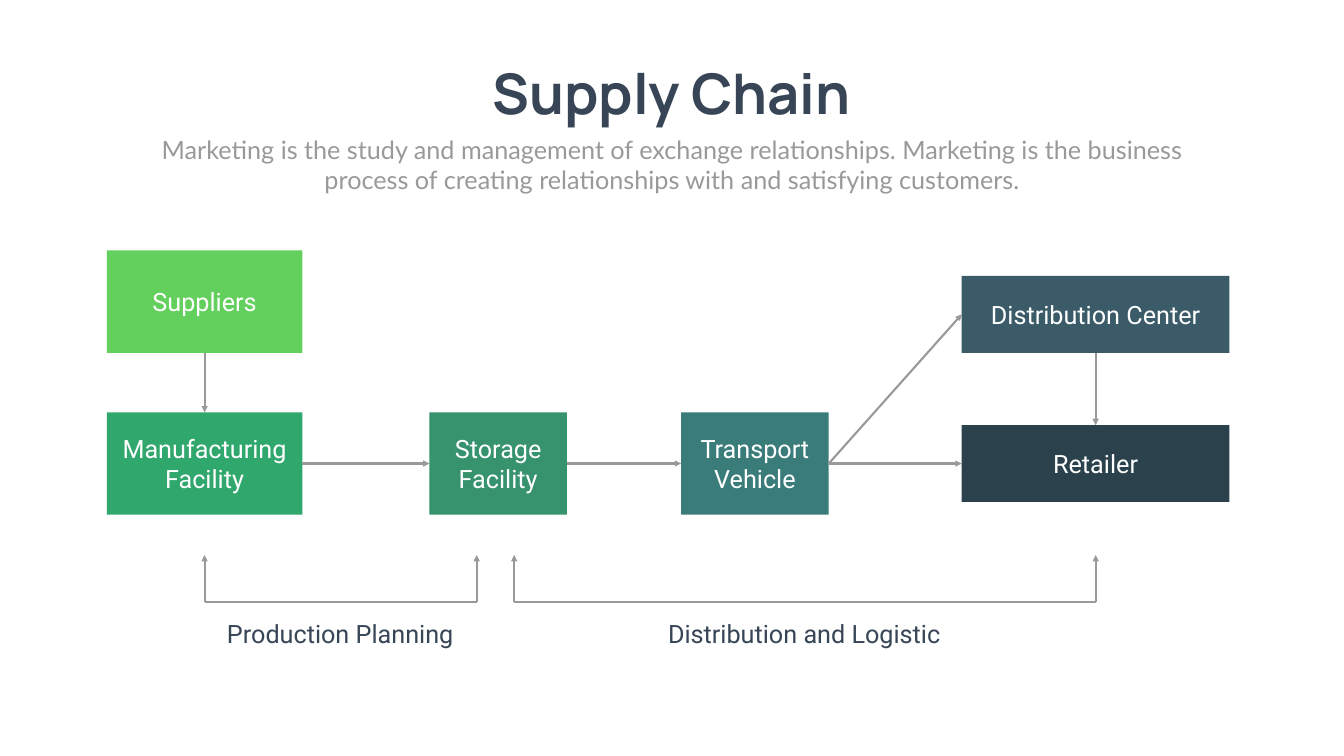
from lxml.etree import SubElement
from pptx import Presentation
from pptx.dml.color import RGBColor
from pptx.enum.shapes import MSO_CONNECTOR, MSO_SHAPE
from pptx.enum.text import MSO_ANCHOR, PP_ALIGN
from pptx.oxml.ns import qn
from pptx.util import Cm, Pt

HUES = {
    "back": "FEFFFE",
    "ink": "374556",
    "gray": "999999",
    "white": "FFFFFF",
    "lime": "63CF5C",
    "green": "30A76D",
    "moss": "36936E",
    "teal": "3A7C79",
    "slate": "3B5B69",
    "night": "2B424D",
}
TITLE = {"name": "Manrope", "size": Pt(80), "bold": True}
INTRO = {"name": "Lato", "size": Pt(36)}
LABEL = {"name": "Roboto", "size": Pt(36)}
TOP, LEFT, BOTTOM, RIGHT = range(4)
ROW = 20.78
TALL, LOW = 5.16, 3.88
WIDE, BROAD = 9.86, 13.49
BASE, TIP = 30.35, 27.97

BOXES = {
    "Suppliers": (5.38, 12.62, WIDE, TALL, "lime"),
    "Manufacturing Facility": (5.38, ROW, WIDE, TALL, "green"),
    "Storage Facility": (21.64, ROW, 6.93, TALL, "moss"),
    "Transport Vehicle": (34.32, ROW, 7.44, TALL, "teal"),
    "Distribution Center": (48.46, 13.9, BROAD, LOW, "slate"),
    "Retailer": (48.46, ROW + (TALL - LOW) / 2, BROAD, LOW, "night"),
}
FLOWS = [
    ("Suppliers", BOTTOM, "Manufacturing Facility", TOP),
    ("Manufacturing Facility", RIGHT, "Storage Facility", LEFT),
    ("Storage Facility", RIGHT, "Transport Vehicle", LEFT),
    ("Transport Vehicle", RIGHT, "Distribution Center", LEFT),
    ("Transport Vehicle", RIGHT, "Retailer", LEFT),
    ("Distribution Center", BOTTOM, "Retailer", TOP),
]
SPANS = [
    ("Production Planning", 10.31, 24.02, 10.21, 13.87),
    ("Distribution and Logistic", 25.91, 55.21, 29.26, 22.53),
]


def hue(key):
    return RGBColor.from_string(HUES[key])


def write(frame, text, style, color, wrap=True):
    frame.word_wrap = wrap
    para = frame.paragraphs[0]
    para.alignment = PP_ALIGN.CENTER
    run = para.add_run()
    run.text = text
    for key, value in style.items():
        setattr(run.font, key, value)
    run.font.color.rgb = hue(color)


def add_text(slide, text, area, style, color, wrap=True):
    box = slide.shapes.add_textbox(*map(Cm, area))
    write(box.text_frame, text, style, color, wrap)


def add_box(slide, text, x, y, width, height, color):
    box = slide.shapes.add_shape(
        MSO_SHAPE.RECTANGLE, Cm(x), Cm(y), Cm(width), Cm(height))
    box.shadow.inherit = False
    box.fill.solid()
    box.fill.fore_color.rgb = hue(color)
    box.line.fill.background()
    box.text_frame.vertical_anchor = MSO_ANCHOR.MIDDLE
    write(box.text_frame, text, LABEL, "white")
    return box


def add_line(slide, ends=(0, 0, 0, 0), arrow=True):
    line = slide.shapes.add_connector(MSO_CONNECTOR.STRAIGHT, *map(Cm, ends))
    line.line.color.rgb = hue("gray")
    line.line.width = Pt(3)
    if arrow:
        SubElement(line.line._get_or_add_ln(), qn("a:tailEnd"), type="triangle")
    SubElement(line._element.spPr, qn("a:effectLst"))
    return line


def add_flow(slide, start, exit, end, entry):
    line = add_line(slide)
    line.begin_connect(start, exit)
    line.end_connect(end, entry)


def add_span(slide, text, left, right, x, width):
    for side in (left, right):
        add_line(slide, (side, BASE, side, TIP))
    add_line(slide, (left, BASE, right, BASE), arrow=False)
    add_text(slide, text, (x, 31.04, width, 1.8), LABEL, "ink")


def main():
    deck = Presentation()
    deck.slide_width, deck.slide_height = Cm(67.72), Cm(38.1)
    slide = deck.slides.add_slide(deck.slide_layouts[6])
    slide.background.fill.solid()
    slide.background.fill.fore_color.rgb = hue("back")

    add_text(slide, "Supply Chain", (23.8, 2.84, 20.09, 3.68),
             TITLE, "ink", wrap=False)
    add_text(slide, "Marketing is the study and management of exchange "
             "relationships. Marketing is the business process of creating "
             "relationships with and satisfying customers.",
             (7.42, 6.63, 52.88, 3.33), INTRO, "gray")

    boxes = {text: add_box(slide, text, *form) for text, form in BOXES.items()}
    for start, exit, end, entry in FLOWS:
        add_flow(slide, boxes[start], exit, boxes[end], entry)
    for span in SPANS:
        add_span(slide, *span)
    deck.save("out.pptx")


if __name__ == "__main__":
    main()
